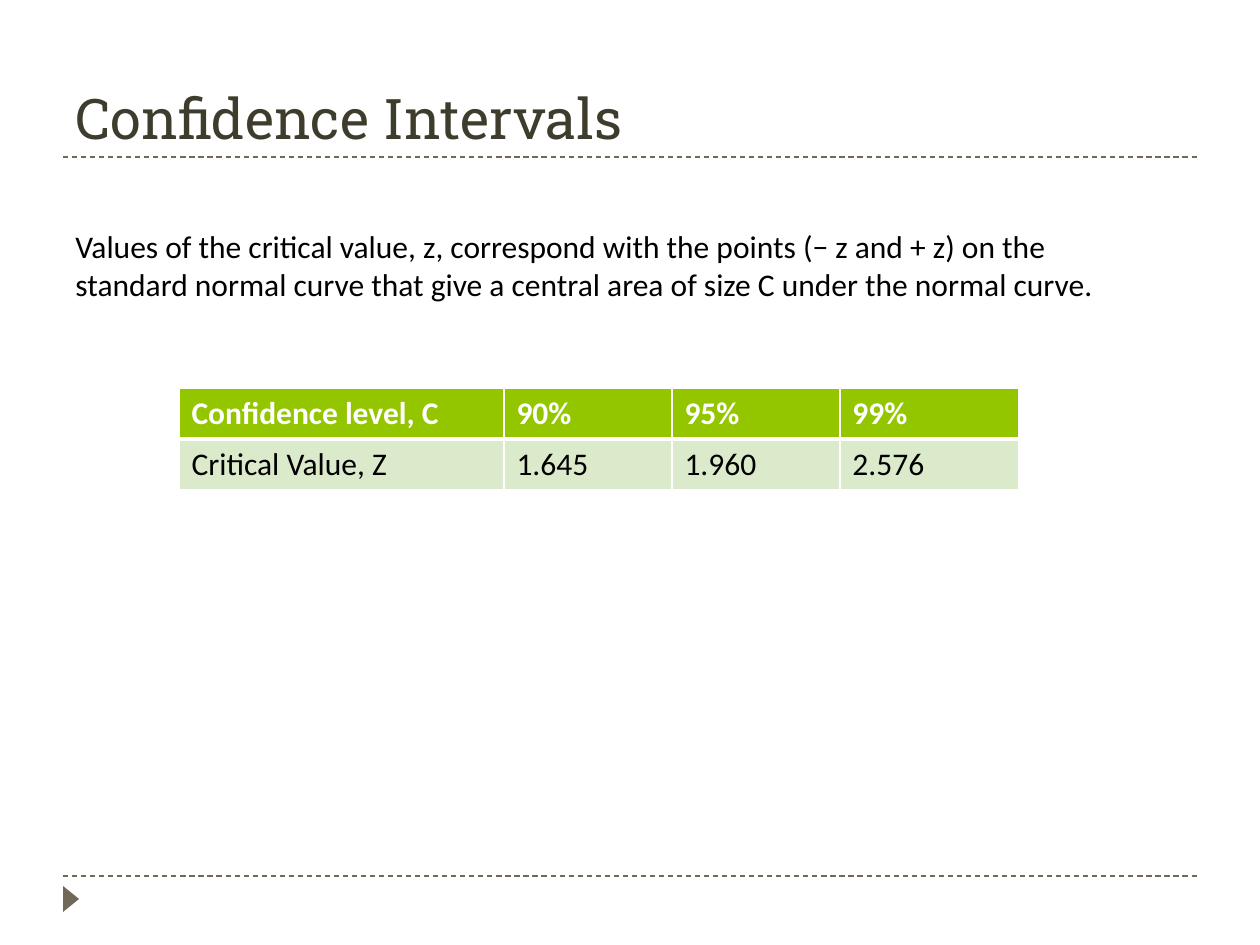
from lxml.etree import SubElement
from pptx import Presentation
from pptx.dml.color import RGBColor
from pptx.enum.dml import MSO_LINE_DASH_STYLE as Dash
from pptx.enum.shapes import MSO_CONNECTOR as Connector, MSO_SHAPE as Shape
from pptx.enum.text import MSO_ANCHOR as Anchor
from pptx.oxml.ns import qn
from pptx.util import Emu, Pt

WHITE = RGBColor(0xFF, 0xFF, 0xFF)
BLACK = RGBColor(0, 0, 0)
OLIVE = RGBColor(0x3E, 0x3D, 0x2D)
TAUPE = RGBColor(0x71, 0x68, 0x5A)
GREEN = RGBColor(0x94, 0xC6, 0x00)
PALE_GREEN = RGBColor(0xDC, 0xEA, 0xCC)
ROWS = [
    ["Confidence level, C", "90%", "95%", "99%"],
    ["Critical Value, Z", "1.645", "1.960", "2.576"],
]
COLUMN_WIDTHS = [325, 168, 168, 179]
ROW_HEIGHT = 51


def px(length):
    """Turn pixels into EMU."""
    return Emu(round(length * 914400 / 126))


def format_text(frame, font_name, size, color, bold=False):
    """Format every run of a text frame."""
    for para in frame.paragraphs:
        for span in para.runs:
            font = span.font
            font.name, font.size, font.bold = font_name, Pt(size), bold
            font.color.rgb = color


def add_text(page, left, top, width, height, text, font_name, size, color, anchor=Anchor.TOP):
    """Add a wrapping text box."""
    box = page.shapes.add_textbox(px(left), px(top), px(width), px(height))
    frame = box.text_frame
    frame.word_wrap = True
    frame.vertical_anchor = anchor
    frame.text = text
    format_text(frame, font_name, size, color)


def add_rule(page, top):
    """Add a dashed line across the page."""
    rule = page.shapes.add_connector(Connector.STRAIGHT, px(63), px(top), px(1197), px(top))
    rule.line.color.rgb = TAUPE
    rule.line.width = Pt(0.75)
    rule.line.dash_style = Dash.DASH
    SubElement(rule._element.spPr, qn("a:effectLst"))


def add_marker(page):
    """Add the footer triangle pointing right."""
    marker = page.shapes.add_shape(Shape.ISOSCELES_TRIANGLE, px(58), px(891), px(26), px(16))
    marker.rotation = 90
    marker.shadow.inherit = False
    marker.fill.solid()
    marker.fill.fore_color.rgb = TAUPE
    marker.line.fill.background()


def set_borders(cell, widths):
    """Give a cell white borders of the widths for each side."""
    properties = cell._tc.get_or_add_tcPr()
    for side, width in widths.items():
        border = SubElement(properties, qn(f"a:ln{side}"), w=str(Pt(width)))
        fill = SubElement(border, qn("a:solidFill"))
        SubElement(fill, qn("a:srgbClr"), val=str(WHITE))


def add_value_table(page, left, top):
    """Add the table of critical values."""
    frame = page.shapes.add_table(
        len(ROWS), len(COLUMN_WIDTHS), px(left), px(top),
        px(sum(COLUMN_WIDTHS)), px(ROW_HEIGHT * len(ROWS)))
    table = frame.table
    for column, width in zip(table.columns, COLUMN_WIDTHS):
        column.width = px(width)
    for index, values in enumerate(ROWS):
        header = index == 0
        table.rows[index].height = px(ROW_HEIGHT)
        edges = {"L": 1, "R": 1, "T": 1 if header else 3, "B": 3 if header else 1}
        for cell, value in zip(table.rows[index].cells, values):
            set_borders(cell, edges)
            cell.fill.solid()
            cell.fill.fore_color.rgb = GREEN if header else PALE_GREEN
            cell.text = value
            format_text(cell.text_frame, "Calibri", 18, WHITE if header else BLACK, header)


def main():
    """Build and save the slide."""
    deck = Presentation()
    deck.slide_width, deck.slide_height = px(1260), px(945)
    page = deck.slides.add_slide(deck.slide_layouts[6])
    for top in (876, 157):
        add_rule(page, top)
    add_marker(page)
    add_text(page, 63, 31, 1134, 126, "Confidence Intervals", "Roboto Slab", 32, OLIVE, Anchor.BOTTOM)
    add_text(page, 63, 221, 1103, 89,
             "Values of the critical value, z, correspond with the points (− z and + z) on the "
             "standard normal curve that give a central area of size C under the normal curve.",
             "Calibri", 18, BLACK)
    add_value_table(page, 179, 388)
    deck.save("out.pptx")


if __name__ == "__main__":
    main()
